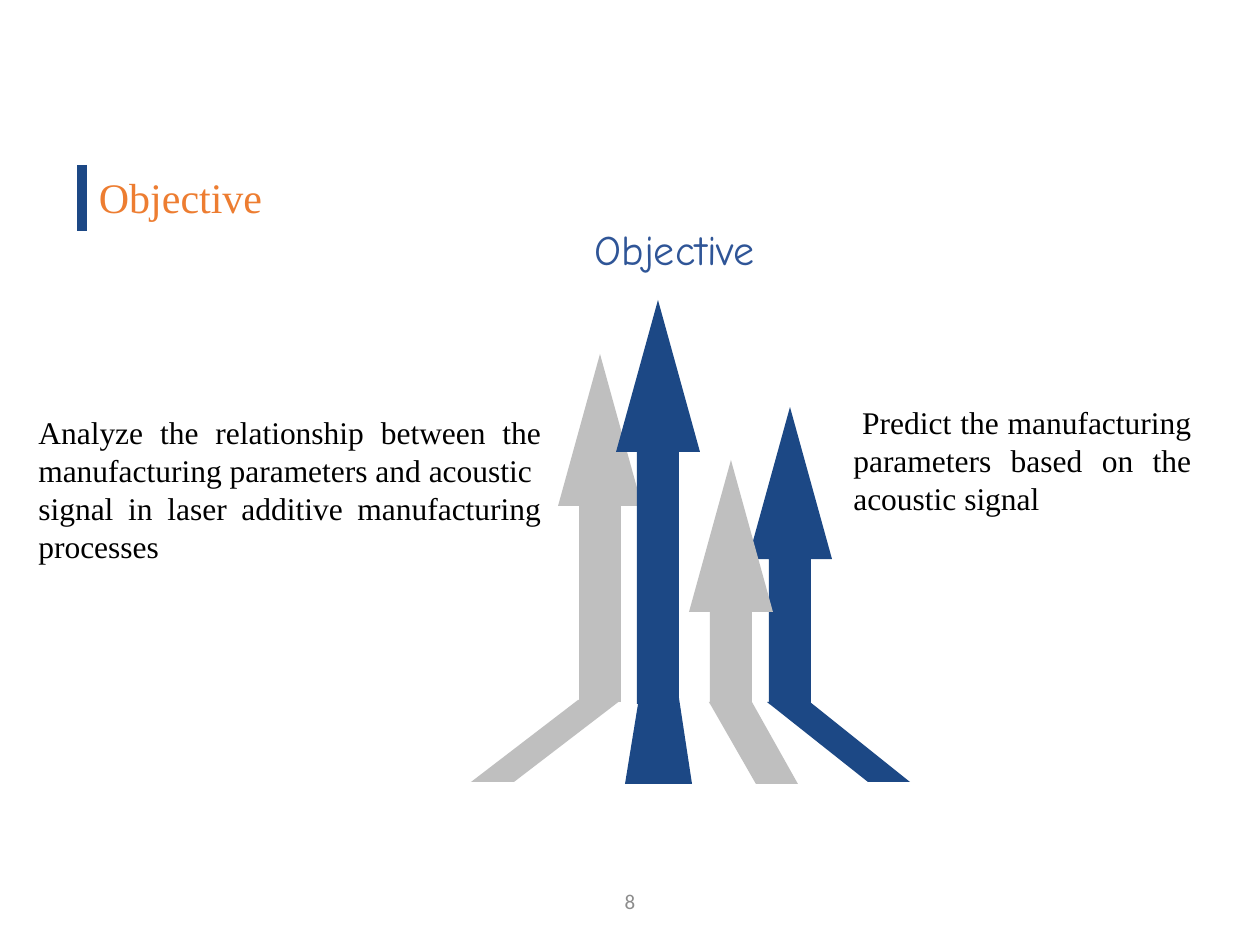
from lxml.etree import SubElement
from pptx import Presentation
from pptx.dml.color import RGBColor
from pptx.enum.shapes import MSO_CONNECTOR, MSO_SHAPE
from pptx.enum.text import MSO_ANCHOR, PP_ALIGN
from pptx.oxml.ns import qn
from pptx.util import Emu, Pt

SCALE = 914400 / 126
COLORS = {
    "blue": "1C4885",
    "silver": "BFBFBF",
    "orange": "ED7D31",
    "heading": "2F5597",
    "body": "000000",
    "number": "8C8C8C",
}
SERIF = "Times New Roman"


def px(length):
    return Emu(round(length * SCALE))


def color(name):
    return RGBColor.from_string(COLORS[name])


def paint(shape, fill):
    shape.shadow.inherit = False
    shape.fill.solid()
    shape.fill.fore_color.rgb = color(fill)
    shape.line.fill.background()


def add_text(slide, box, lines, size, font, ink, align, anchor=MSO_ANCHOR.TOP):
    frame = slide.shapes.add_textbox(*map(px, box)).text_frame
    frame.word_wrap = True
    frame.vertical_anchor = anchor
    frame.text = "\n".join(lines)
    for paragraph in frame.paragraphs:
        paragraph.alignment = align
        for run in paragraph.runs:
            run.font.size = Pt(size)
            run.font.name = font
            run.font.color.rgb = color(ink)


def add_title(slide, left, top, width, height):
    """Section title with a thick vertical bar on its left edge."""
    add_text(slide, (left, top, width, height), ["Objective"],
             24, SERIF, "orange", PP_ALIGN.CENTER)
    bar = slide.shapes.add_connector(
        MSO_CONNECTOR.STRAIGHT, px(left), px(top), px(left), px(top + 66))
    bar.line.color.rgb = color("blue")
    bar.line.width = Pt(6)
    SubElement(bar._element.spPr, qn("a:effectLst"))


def add_arrow(slide, left, top, height, fill):
    arrow = slide.shapes.add_shape(
        MSO_SHAPE.UP_ARROW, px(left), px(top), px(84), px(height))
    arrow.adjustments[0] = 0.5
    arrow.adjustments[1] = 1.81
    paint(arrow, fill)


def add_foot(slide, corners, fill):
    builder = slide.shapes.build_freeform(*corners[0], scale=SCALE)
    builder.add_line_segments(corners[1:], close=True)
    paint(builder.convert_to_shape(), fill)


def add_arrow_fan(slide, left, top):
    """Four rising arrows whose feet spread out at the bottom."""
    arrows = [
        (87, 54, 348, "silver"),
        (277, 107, 297, "blue"),
        (218, 160, 244, "silver"),
        (145, 0, 404, "blue"),
    ]
    for x, y, height, fill in arrows:
        add_arrow(slide, left + x, top + y, height, fill)

    # upper y, upper left and right x, lower y, lower left and right x
    feet = [
        (400, 107, 150, 482, 0, 43, "silver"),
        (402, 296, 339, 482, 397, 439, "blue"),
        (398, 168, 208, 484, 154, 221, "blue"),
        (402, 238, 281, 484, 285, 327, "silver"),
    ]
    for upper, upper_l, upper_r, lower, lower_l, lower_r, fill in feet:
        corners = [(upper_l, upper), (upper_r, upper),
                   (lower_r, lower), (lower_l, lower)]
        add_foot(slide, [(left + x, top + y) for x, y in corners], fill)


def add_goal(slide, box, lines):
    add_text(slide, box, lines, 18, SERIF, "body", PP_ALIGN.JUSTIFY)


def main():
    deck = Presentation()
    deck.slide_width, deck.slide_height = px(1260), px(945)
    slide = deck.slides.add_slide(deck.slide_layouts[6])

    add_title(slide, 82, 165, 197, 63)
    add_arrow_fan(slide, 471, 300)
    add_goal(slide, (26, 407, 528, 165), [
        "Analyze the relationship between the manufacturing parameters and acoustic ",
        "signal in laser additive manufacturing processes",
    ])
    add_goal(slide, (841, 397, 363, 127), [
        " Predict the manufacturing parameters based on the acoustic signal",
    ])
    add_text(slide, (417, 876, 426, 50), ["8"], 12, "Calibri", "number",
             PP_ALIGN.CENTER, MSO_ANCHOR.MIDDLE)
    add_text(slide, (369, 217, 398, 63), ["Objective"], 24, "Comic Neue",
             "heading", PP_ALIGN.RIGHT)
    deck.save("out.pptx")


if __name__ == "__main__":
    main()
